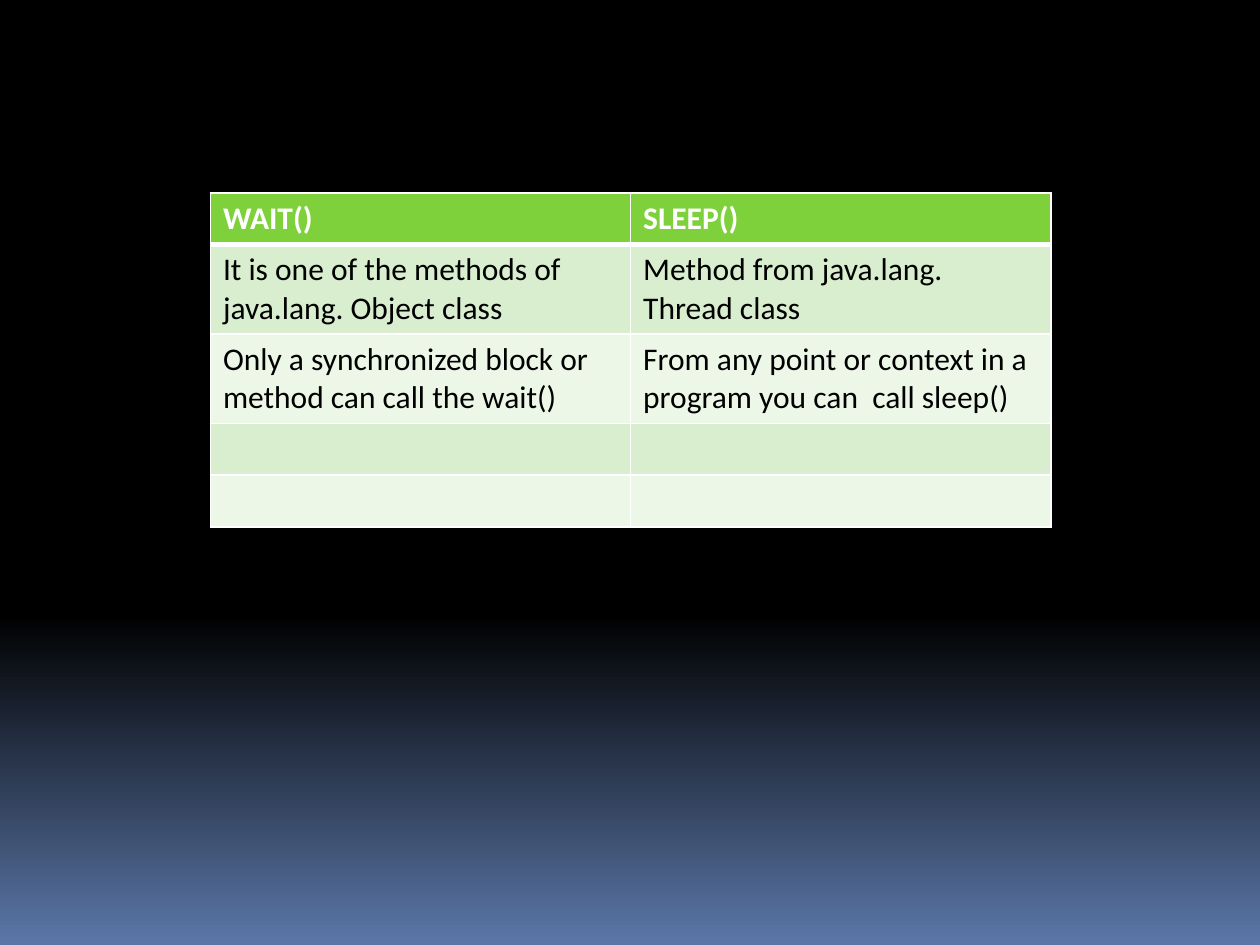
from dataclasses import dataclass

from lxml.etree import SubElement
from pptx import Presentation
from pptx.dml.color import RGBColor
from pptx.oxml.ns import qn
from pptx.util import Inches, Pt


@dataclass(frozen=True)
class Theme:
    font: str = "Calibri"
    text_size: int = 18
    header_text: str = "FFFFFF"
    body_text: str = "000000"
    header_fill: str = "7FD13B"
    band_fills: tuple = ("D8EECE", "ECF7E8")
    border: str = "FFFFFF"
    border_width: int = 1
    header_rule_width: int = 3
    background_stops: tuple = ((0.65, "000000"), (1, "5B77A8"))


THEME = Theme()
COMPARISON = [
    ("WAIT()", "SLEEP()"),
    ("It is one of the methods of java.lang. Object class",
     "Method from java.lang. Thread class"),
    ("Only a synchronized block or method can call the wait()",
     "From any point or context in a program you can  call sleep()"),
    ("", ""),
    ("", ""),
]


def paint_background(slide):
    fill = slide.background.fill
    fill.gradient()
    fill.gradient_angle = 270
    for stop, (position, color) in zip(fill.gradient_stops, THEME.background_stops):
        stop.position = position
        stop.color.rgb = RGBColor.from_string(color)


def add_borders(cell, top, bottom):
    """Draw all four cell edges; top and bottom are widths in points."""
    properties = cell._tc.get_or_add_tcPr()
    side = THEME.border_width
    for edge, width in (("L", side), ("R", side), ("T", top), ("B", bottom)):
        line = SubElement(properties, qn(f"a:ln{edge}"), w=str(Pt(width)))
        solid = SubElement(line, qn("a:solidFill"))
        SubElement(solid, qn("a:srgbClr"), val=THEME.border)


def format_cell(cell, row_index):
    is_header = row_index == 0
    thin, thick = THEME.border_width, THEME.header_rule_width
    add_borders(cell, thick if row_index == 1 else thin, thick if is_header else thin)
    band = THEME.band_fills[(row_index - 1) % len(THEME.band_fills)]
    cell.fill.solid()
    cell.fill.fore_color.rgb = RGBColor.from_string(THEME.header_fill if is_header else band)
    color = THEME.header_text if is_header else THEME.body_text
    for paragraph in cell.text_frame.paragraphs:
        for run in paragraph.runs:
            run.font.name = THEME.font
            run.font.size = Pt(THEME.text_size)
            run.font.bold = is_header
            run.font.color.rgb = RGBColor.from_string(color)


def add_comparison_table(slide, rows, left, top, width, row_height):
    table = slide.shapes.add_table(
        len(rows), len(rows[0]), left, top, width, row_height * len(rows)
    ).table
    for row_index, texts in enumerate(rows):
        for column_index, text in enumerate(texts):
            cell = table.cell(row_index, column_index)
            if text:
                cell.text_frame.text = text
            format_cell(cell, row_index)


def main():
    presentation = Presentation()
    presentation.slide_width = Inches(10)
    presentation.slide_height = Inches(7.5)
    slide = presentation.slides.add_slide(presentation.slide_layouts.get_by_name("Blank"))
    paint_background(slide)
    add_comparison_table(
        slide, COMPARISON, Inches(1.67), Inches(1.53), Inches(6.67), Inches(0.41)
    )
    presentation.save("out.pptx")


if __name__ == "__main__":
    main()
